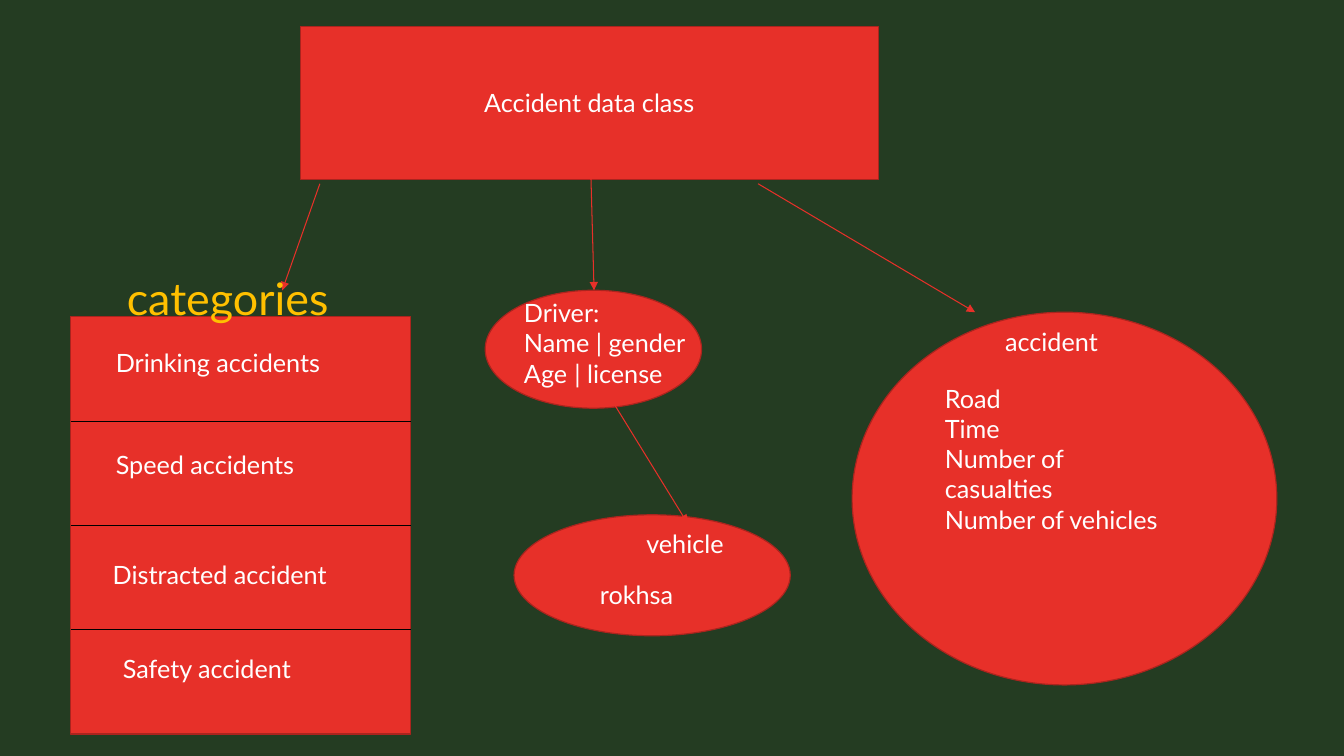
from dataclasses import dataclass

import lxml.etree
import pptx
import pptx.dml.color
import pptx.enum.shapes
import pptx.enum.text
import pptx.oxml.ns
import pptx.util

COLORS = {
    "background": "243C22",
    "red": "E73029",
    "outline": "AB241E",
    "text": "FFFFFF",
    "heading": "FFC000",
    "divider": "000000",
}
FONT = "Lato"
SLIDE_WIDTH = pptx.util.Inches(13.33)
SLIDE_HEIGHT = pptx.util.Inches(7.5)
LABEL_HEIGHT = 5.3
ELLIPSE = pptx.enum.shapes.MSO_SHAPE.OVAL
RECTANGLE = pptx.enum.shapes.MSO_SHAPE.RECTANGLE


@dataclass(frozen=True)
class Box:
    """A frame in percent of the slide's width and height."""
    left: float
    top: float
    width: float
    height: float = LABEL_HEIGHT


@dataclass(frozen=True)
class Label:
    lines: list[str]
    box: Box
    size: int = 18
    color: str = "text"
    tab: float | None = None


@dataclass(frozen=True)
class Line:
    """A line between two points in percent of the slide's size."""
    start: tuple[float, float]
    end: tuple[float, float]
    color: str = "red"
    arrow: bool = True


TITLE = Label(["Accident data class"], Box(22.35, 3.5, 43, 20.2))
VEHICLE = Box(38.25, 68.1, 20.55, 16)
DRIVER = Box(36.1, 38.4, 16.1, 15.6)
ACCIDENT = Box(63.4, 41.3, 31.6, 49.3)
CATEGORIES = Box(5.25, 41.9, 25.3, 55.2)
CATEGORY_COUNT = 4

ARROWS = [
    Line((45.75, 53.6), (51.15, 69.2)),
    Line((43.95, 22.1), (44.2, 38.4)),
    Line((56.4, 24.3), (72.55, 41.3)),
    Line((23.8, 24.3), (21, 38.4)),
]
LABELS = [
    Label(["vehicle"], Box(47.35, 69.2, 7.65)),
    Label(["Driver:", "Name | gender", "Age\t| license"], Box(38.25, 38.7, 14.55, 17.5), tab=0.69),
    Label(["accident"], Box(74.05, 42.5, 10.35)),
    Label(["Drinking accidents"], Box(7.88, 45.3, 21.1)),
    Label(["Speed accidents"], Box(7.88, 58.8, 21.1)),
    Label(["Distracted accident"], Box(7.65, 73.3, 21.3)),
    Label(["Safety accident"], Box(8.4, 85.7, 20.5)),
    Label(["categories"], Box(8.7, 35.1, 20.6, 8.5), size=32, color="heading"),
    Label(["rokhsa"], Box(43.9, 76, 19.4)),
]
DETAILS = Label(["Road", "Time", "Number of casualties", "Number of vehicles"],
                Box(69.55, 50, 18.3, 21.6))


def rgb(name: str) -> pptx.dml.color.RGBColor:
    return pptx.dml.color.RGBColor.from_string(COLORS[name])


def across(share: float) -> int:
    return round(SLIDE_WIDTH * share / 100)


def down(share: float) -> int:
    return round(SLIDE_HEIGHT * share / 100)


def frame(box: Box) -> tuple[int, int, int, int]:
    return across(box.left), down(box.top), across(box.width), down(box.height)


def place(shape, box: Box) -> None:
    shape.left, shape.top, shape.width, shape.height = frame(box)


def paint(shape) -> None:
    shape.fill.solid()
    shape.fill.fore_color.rgb = rgb("red")
    shape.line.color.rgb = rgb("outline")
    shape.line.width = pptx.util.Pt(0.85)


def add_panel(slide, kind, box: Box) -> None:
    shape = slide.shapes.add_shape(kind, *frame(box))
    shape.shadow.inherit = False
    paint(shape)


def write(shape, label: Label, anchor=pptx.enum.text.MSO_ANCHOR.TOP,
          alignment=pptx.enum.text.PP_ALIGN.LEFT) -> None:
    text_frame = shape.text_frame
    text_frame.word_wrap = True
    text_frame.auto_size = pptx.enum.text.MSO_AUTO_SIZE.NONE
    text_frame.vertical_anchor = anchor
    text_frame.text = "\n".join(label.lines)
    for paragraph in text_frame.paragraphs:
        paragraph.alignment = alignment
        paragraph.space_before = pptx.util.Pt(0)
        properties = paragraph._p.get_or_add_pPr()
        properties.set("marL", "0")
        properties.set("indent", "0")
        lxml.etree.SubElement(properties, pptx.oxml.ns.qn("a:buNone"))
        if label.tab:
            tabs = lxml.etree.SubElement(properties, pptx.oxml.ns.qn("a:tabLst"))
            lxml.etree.SubElement(tabs, pptx.oxml.ns.qn("a:tab"),
                                  pos=str(pptx.util.Inches(label.tab)), algn="l")
        paragraph.font.name = FONT
        paragraph.font.size = pptx.util.Pt(label.size)
        paragraph.font.color.rgb = rgb(label.color)


def add_label(slide, label: Label) -> None:
    write(slide.shapes.add_textbox(*frame(label.box)), label)


def add_line(slide, line: Line) -> None:
    connector = slide.shapes.add_connector(
        pptx.enum.shapes.MSO_CONNECTOR.STRAIGHT,
        across(line.start[0]), down(line.start[1]),
        across(line.end[0]), down(line.end[1]))
    connector.line.color.rgb = rgb(line.color)
    connector.line.width = pptx.util.Pt(0.75)
    if line.arrow:
        lxml.etree.SubElement(connector.line._get_or_add_ln(),
                              pptx.oxml.ns.qn("a:tailEnd"), type="triangle")
    lxml.etree.SubElement(connector._element.spPr, pptx.oxml.ns.qn("a:effectLst"))


def main() -> None:
    presentation = pptx.Presentation()
    presentation.slide_width = SLIDE_WIDTH
    presentation.slide_height = SLIDE_HEIGHT
    slide = presentation.slides.add_slide(presentation.slide_layouts[1])
    slide.background.fill.solid()
    slide.background.fill.fore_color.rgb = rgb("background")

    title = slide.shapes.title
    place(title, TITLE.box)
    paint(title)
    write(title, TITLE, pptx.enum.text.MSO_ANCHOR.MIDDLE, pptx.enum.text.PP_ALIGN.CENTER)

    for ellipse in (VEHICLE, DRIVER, ACCIDENT):
        add_panel(slide, ELLIPSE, ellipse)
    for arrow in ARROWS:
        add_line(slide, arrow)

    add_panel(slide, RECTANGLE, CATEGORIES)
    right = CATEGORIES.left + CATEGORIES.width
    for row in range(1, CATEGORY_COUNT):
        height = CATEGORIES.top + CATEGORIES.height * row / CATEGORY_COUNT
        add_line(slide, Line((CATEGORIES.left, height), (right, height), "divider", arrow=False))

    for label in LABELS:
        add_label(slide, label)

    details = slide.placeholders[1]
    place(details, DETAILS.box)
    write(details, DETAILS)
    slide.shapes._spTree.append(details._element)  # bring the list in front of its ellipse

    presentation.save("out.pptx")


if __name__ == "__main__":
    main()
